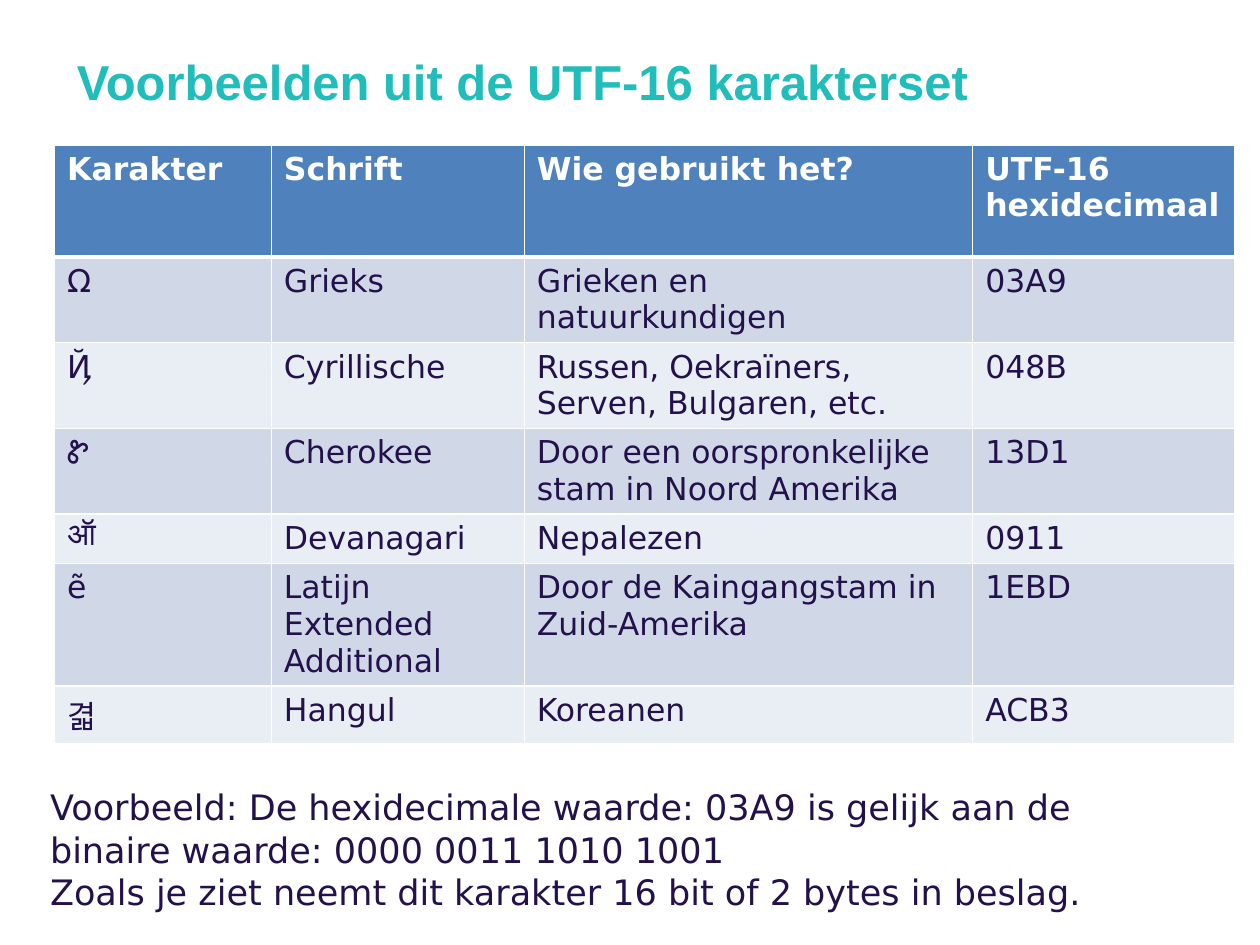
from pptx import Presentation
from pptx.dml.color import RGBColor as RGB
from pptx.enum.text import MSO_AUTO_SIZE as AutoSize
from pptx.util import Cm, Pt
from pptx.oxml import parse_xml
from pptx.oxml.ns import nsdecls

TEAL, INK, WHITE, BLUE = "20BDBA", "23114C", "FFFFFF", "4F81BD"
BANDS = ["D0D8E8", "E9EDF4"]
TITLE_FONT, BODY_FONT = "Arial", "DejaVu Sans"

COLUMNS = [4.37, 5.1, 9.04, 5.28]
ROWS = [2.26, 1.57, 1.57, 1.57, 0.94, 2.26, 0.94]
CHARACTERS = [
    ("Karakter", "Schrift", "Wie gebruikt het?", "UTF-16\nhexidecimaal"),
    ("Ω", "Grieks", "Grieken en natuurkundigen", "03A9"),
    ("Ҋ", "Cyrillische", "Russen, Oekraïners, Serven, Bulgaren, etc.", "048B"),
    ("Ꮡ", "Cherokee", "Door een oorspronkelijke stam in Noord Amerika", "13D1"),
    ("ऑ", "Devanagari", "Nepalezen", "0911"),
    ("ẽ", "Latijn Extended Additional", "Door de Kaingangstam in Zuid-Amerika", "1EBD"),
    ("겳", "Hangul", "Koreanen", "ACB3"),
]
EXAMPLE = """Voorbeeld: De hexidecimale waarde: 03A9 is gelijk aan de
binaire waarde: 0000 0011 1010 1001
Zoals je ziet neemt dit karakter 16 bit of 2 bytes in beslag."""


def color(value):
    return RGB.from_string(value)


def write(tf, text, font, size, ink, bold=False):
    tf.text = text
    for p in tf.paragraphs:
        for r in p.runs:
            r.font.name, r.font.size, r.font.bold = font, Pt(size), bold
            r.font.color.rgb = color(ink)


def add_text(s, box, text, font, size, ink, bold=False, wrap=True):
    tf = s.shapes.add_textbox(*map(Cm, box)).text_frame
    tf.word_wrap = wrap
    tf.auto_size = AutoSize.NONE if wrap else AutoSize.SHAPE_TO_FIT_TEXT
    write(tf, text, font, size, ink, bold)


def set_borders(cell, top, bottom):
    tcPr = cell._tc.get_or_add_tcPr()
    for side, width in (("L", 1), ("R", 1), ("T", top), ("B", bottom)):
        tcPr.append(parse_xml(
            f'<a:ln{side} {nsdecls("a")} w="{Pt(width)}"><a:solidFill>'
            f'<a:srgbClr val="{WHITE}"/></a:solidFill></a:ln{side}>'))


def add_character_table(s, left, top):
    size = Cm(sum(COLUMNS)), Cm(sum(ROWS))
    table = s.shapes.add_table(len(ROWS), len(COLUMNS), Cm(left), Cm(top), *size).table
    for column, width in zip(table.columns, COLUMNS):
        column.width = Cm(width)
    for i, (row, height, texts) in enumerate(zip(table.rows, ROWS, CHARACTERS)):
        row.height = Cm(height)
        header = i == 0
        for cell, text in zip(row.cells, texts):
            # A thick rule separates the header from the bands
            set_borders(cell, 3 if i == 1 else 1, 3 if header else 1)
            cell.fill.solid()
            cell.fill.fore_color.rgb = color(BLUE if header else BANDS[(i - 1) % 2])
            write(cell.text_frame, text, BODY_FONT, 18, WHITE if header else INK, header)


def main():
    prs = Presentation()
    prs.slide_width, prs.slide_height = Cm(25.4), Cm(19.05)
    s = prs.slides.add_slide(prs.slide_layouts[6])

    # Table of characters
    add_character_table(s, 1.1, 2.92)
    # Worked example
    add_text(s, (0.76, 15.72, 21.49, 2.82), EXAMPLE, BODY_FONT, 20, INK, wrap=False)
    # Title
    add_text(s, (1.3, 0.91, 22.86, 3.18), "Voorbeelden uit de UTF-16 karakterset",
             TITLE_FONT, 28, TEAL, bold=True)
    prs.save("out.pptx")


if __name__ == "__main__":
    main()
